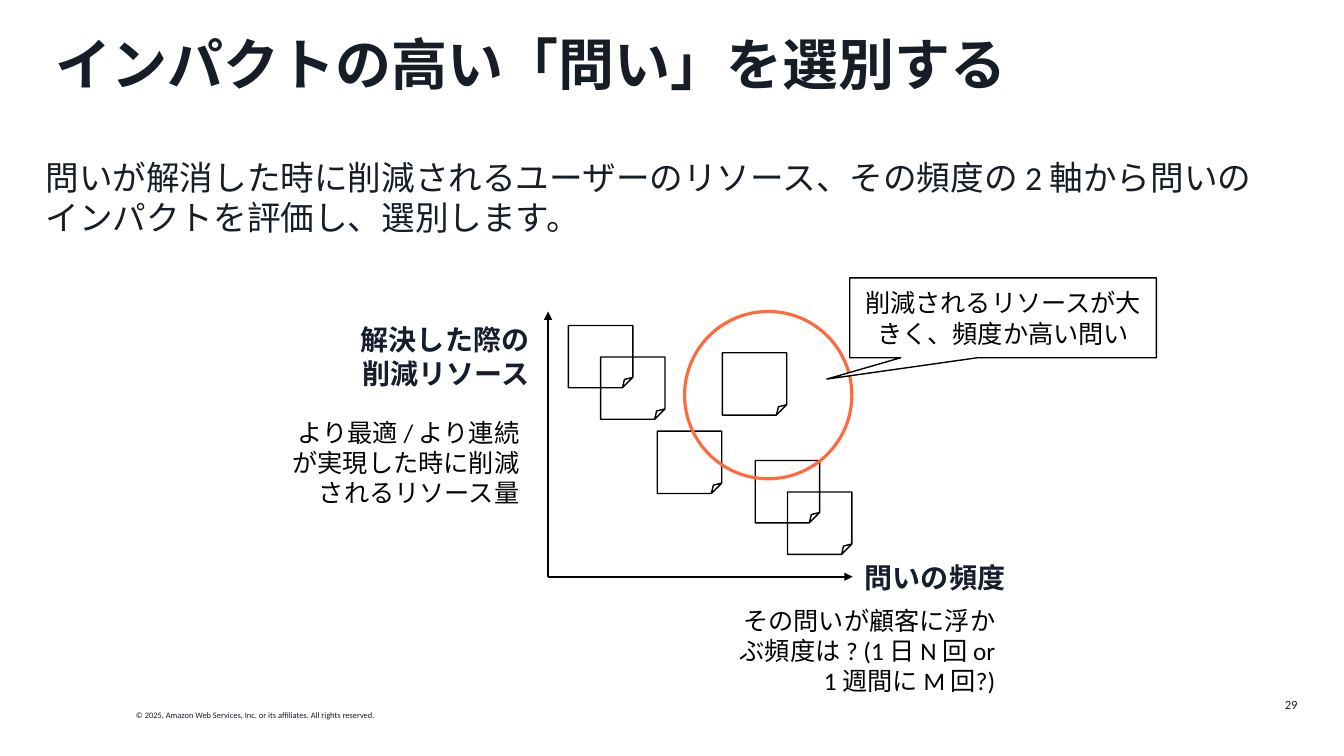
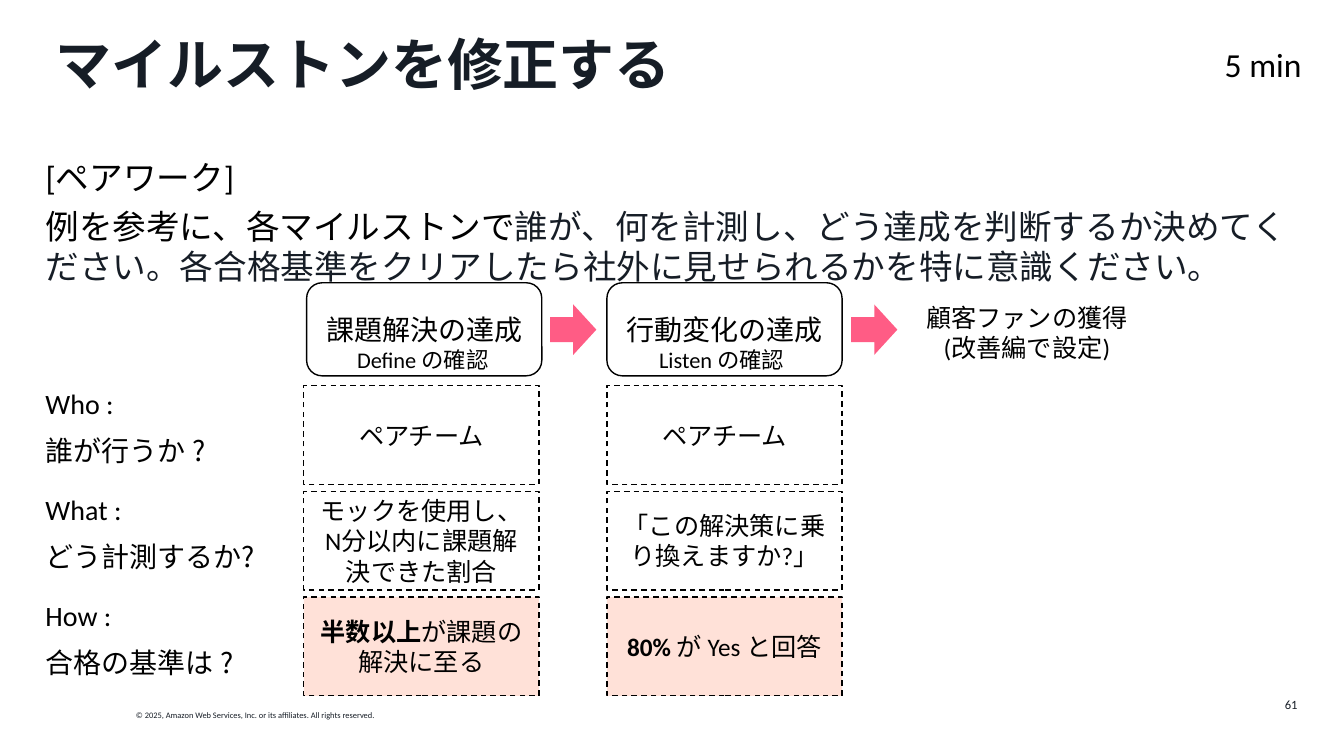
from dataclasses import dataclass, replace
from typing import NamedTuple, Optional, Sequence, Union

from lxml import etree
from pptx import Presentation
from pptx import util as u
from pptx.dml.color import RGBColor
from pptx.enum import dml, shapes, text
from pptx.oxml.ns import qn

Pt = u.Pt
LATIN, CJK = "Calibri", "Noto Sans CJK JP"
INK, NAVY, BLACK, WHITE = "161D26", "161E2D", "000000", "FFFFFF"
ORANGE, PEACH, PINK = "FF693C", "FFE1D8", "FF5C85"
ALIGN, ANCHOR, SHAPE = text.PP_ALIGN, text.MSO_ANCHOR, shapes.MSO_SHAPE


class Box(NamedTuple):
    x: float
    y: float
    w: float
    h: float


class Run(NamedTuple):
    text: str
    color: Optional[str] = None
    bold: Optional[bool] = None
    font: Optional[str] = None


class Milestone(NamedTuple):
    x: float
    head_x: float
    check_x: float
    arrow_x: float
    goal: str
    check: str
    answers: Sequence["Para"]


Para = Union[str, Sequence[Run]]


@dataclass(frozen=True)
class Style:
    size: float
    color: str = BLACK
    bold: bool = False
    align: ALIGN = ALIGN.LEFT
    anchor: ANCHOR = ANCHOR.TOP
    spacing: float = 1.0
    after: float = 0
    inset: float = 7.2


TITLE = Style(40, INK, bold=True, spacing=0.9)
BODY = Style(24, INK, after=6, inset=0)
COPYRIGHT = Style(6, INK)
NUMBER = Style(9, INK, align=ALIGN.RIGHT, anchor=ANCHOR.MIDDLE)
AXIS = Style(20, NAVY, bold=True, align=ALIGN.RIGHT, inset=0)
AXIS_NOTE = Style(18, align=ALIGN.RIGHT)
CELL = Style(18, align=ALIGN.CENTER, anchor=ANCHOR.MIDDLE)
GOAL = replace(CELL, size=20)
CHECK = Style(16, align=ALIGN.CENTER)
QUESTION = Style(20, spacing=0.9, after=12, inset=0)
TIMER = Style(24, align=ALIGN.CENTER, inset=0)

NOTE_W, NOTE_H = 46, 44.5
NOTES = [(406, 232.5), (429, 255), (539.5, 329), (562.5, 351.5),
         (469.5, 308), (516, 252)]
ORIGIN = (391.5, 412)
AXIS_ENDS = [(391.5, 222.5), (609, 412)]

COL_W, ROW_H = 168, 70.5
ROW_TOP, ROW_STEP = 275.5, 75.5
HEAD_TOP, HEAD_H = 202, 66.5
QUESTIONS = [("Who :", "誰が行うか ?"), ("What :", "どう計測するか?"),
             ("How :", "合格の基準は ?")]
MILESTONES = [
    Milestone(217, 219, 220, 393, "課題解決の達成", "Define の確認",
              ["ペアチーム", "モックを使用し、N分以内に課題解決できた割合",
               [Run("半数以上", bold=True), Run("が課題の解決に至る")]]),
    Milestone(433.5, 433.5, 433.5, 608, "行動変化の達成", "Listen の確認",
              ["ペアチーム", "「この解決策に乗り換えますか?」",
               [Run("80% ", bold=True), Run("が Yes と回答")]]),
]


def rgb(color: str) -> RGBColor:
    return RGBColor.from_string(color)


def write(sp, paras: Sequence[Para], style: Style) -> None:
    tf = sp.text_frame
    tf.word_wrap = True
    tf.vertical_anchor = style.anchor
    tf.margin_left = tf.margin_right = Pt(style.inset)
    tf.margin_top = tf.margin_bottom = Pt(3.6)
    for i, para in enumerate(paras):
        p = tf.add_paragraph() if i else tf.paragraphs[0]
        p.alignment = style.align
        p.line_spacing = style.spacing
        p.space_after = Pt(style.after)
        f = p.font
        f.size, f.bold, f.name = Pt(style.size), style.bold, LATIN
        f.color.rgb = rgb(style.color)
        props = p._p.pPr.find(qn("a:defRPr"))
        etree.SubElement(props, qn("a:ea"), typeface=CJK)
        if isinstance(para, str):
            p.text = para
            continue
        for run in para:
            r = p.add_run()
            r.text = run.text
            r.font.bold, r.font.name = run.bold, run.font
            if run.color:
                r.font.color.rgb = rgb(run.color)


def add_text(s, box: Box, paras: Sequence[Para], style: Style) -> None:
    write(s.shapes.add_textbox(*map(Pt, box)), paras, style)


def add_shape(s, kind: SHAPE, box: Box, fill: Optional[str] = None,
              line: Optional[str] = BLACK, width: float = 1,
              dashed: bool = False):
    sp = s.shapes.add_shape(kind, *map(Pt, box))
    sp.shadow.inherit = False
    if fill:
        sp.fill.solid()
        sp.fill.fore_color.rgb = rgb(fill)
    else:
        sp.fill.background()
    if line:
        sp.line.color.rgb = rgb(line)
        sp.line.width = Pt(width)
        if dashed:
            sp.line.dash_style = dml.MSO_LINE.DASH
    else:
        sp.line.fill.background()
    return sp


def add_axis(s, end: tuple[float, float]) -> None:
    """Draw an arrow from the chart origin to end."""
    cx = s.shapes.add_connector(shapes.MSO_CONNECTOR.STRAIGHT,
                                *map(Pt, ORIGIN + end))
    cx.line.color.rgb = rgb(BLACK)
    cx.line.width = Pt(1.5)
    etree.SubElement(cx.line._get_or_add_ln(), qn("a:tailEnd"), type="triangle")
    etree.SubElement(cx._element.spPr, qn("a:effectLst"))


def add_slide(prs, title: str, number: int, body: Sequence[Para],
              body_h: float):
    """Add a blank slide with the shared title, body and footer."""
    s = prs.slides.add_slide(prs.slide_layouts[6])
    add_text(s, Box(90, 503.5, 206.5, 14.5),
             ["© 2025, Amazon Web Services, Inc. or its affiliates. "
              "All rights reserved."], COPYRIGHT)
    add_text(s, Box(718, 489, 216, 29), [str(number)], NUMBER)
    add_text(s, Box(32.5, 23, 901.5, 49), [title], TITLE)
    add_text(s, Box(32.5, 108.5, 901.5, body_h), body, BODY)
    return s


def build_impact(prs) -> None:
    s = add_slide(prs, "インパクトの高い「問い」を選別する", 29,
                  ["問いが解消した時に削減されるユーザーのリソース、その頻度の 2 軸から問いの"
                   "\vインパクトを評価し、選別します。"], 65.5)
    for end in AXIS_ENDS:
        add_axis(s, end)
    add_text(s, Box(255.5, 227, 122.5, 55.5), ["解決した際の削減リソース"], AXIS)
    add_text(s, Box(595.5, 396.5, 122.5, 31.5), ["問いの頻度"], AXIS)
    for x, y in NOTES:
        add_shape(s, SHAPE.FOLDED_CORNER, Box(x, y, NOTE_W, NOTE_H))
    add_text(s, Box(195, 294.5, 183, 72.5),
             ["より最適 / より連続が実現した時に削減されるリソース量"], AXIS_NOTE)
    add_text(s, Box(520, 428.5, 198, 72.5),
             ["その問いが顧客に浮かぶ頻度は ? (1 日 N 回 or 1 週間に M 回?)"],
             AXIS_NOTE)
    add_shape(s, SHAPE.OVAL, Box(489, 222.5, 119.5, 119.5),
              line=ORANGE, width=2.25)
    callout = add_shape(s, SHAPE.RECTANGULAR_CALLOUT,
                        Box(607, 198.5, 219, 57), fill=WHITE)
    callout.adjustments[0], callout.adjustments[1] = -0.575, 0.768
    write(callout, ["削減されるリソースが大きく、頻度か高い問い"], CELL)


def add_milestone(s, m: Milestone) -> None:
    head = add_shape(s, SHAPE.ROUNDED_RECTANGLE,
                     Box(m.head_x, HEAD_TOP, COL_W, HEAD_H))
    write(head, [m.goal], GOAL)
    add_text(s, Box(m.check_x, 244, 164, 26.5), [m.check], CHECK)
    add_shape(s, SHAPE.RIGHT_ARROW, Box(m.arrow_x, 217.5, 33, 36),
              fill=PINK, line=None)
    for row, answer in enumerate(m.answers):
        is_criterion = row == len(m.answers) - 1
        cell = add_shape(s, SHAPE.RECTANGLE,
                         Box(m.x, ROW_TOP + row * ROW_STEP, COL_W, ROW_H),
                         fill=PEACH if is_criterion else None, dashed=True)
        write(cell, [answer], CELL)


def build_milestones(prs) -> None:
    s = add_slide(prs, "マイルストンを修正する", 61,
                  [[Run("[ペアワーク]", BLACK)],
                   [Run("例を参考に、各マイルストンで", BLACK),
                    Run("誰が、何を計測し、どう達成を判断するか決めてください。"
                        "各合格基準をクリアしたら社外に見せられるかを特に意識ください。")]],
                  101)
    add_text(s, Box(852.5, 27.5, 99.5, 36), ["5 min"], TIMER)
    for row, (word, question) in enumerate(QUESTIONS):
        add_text(s, Box(32.5, ROW_TOP + row * ROW_STEP, 175, 63.5),
                 [word, [Run(question, font=CJK)]], QUESTION)
    for m in MILESTONES:
        add_milestone(s, m)
    add_text(s, Box(649.5, HEAD_TOP, COL_W, ROW_H),
             ["顧客ファンの獲得", "(改善編で設定)"], CELL)


def main() -> None:
    prs = Presentation()
    prs.slide_width, prs.slide_height = Pt(960), Pt(540)
    build_impact(prs)
    build_milestones(prs)
    prs.save("out.pptx")


if __name__ == "__main__":
    main()
